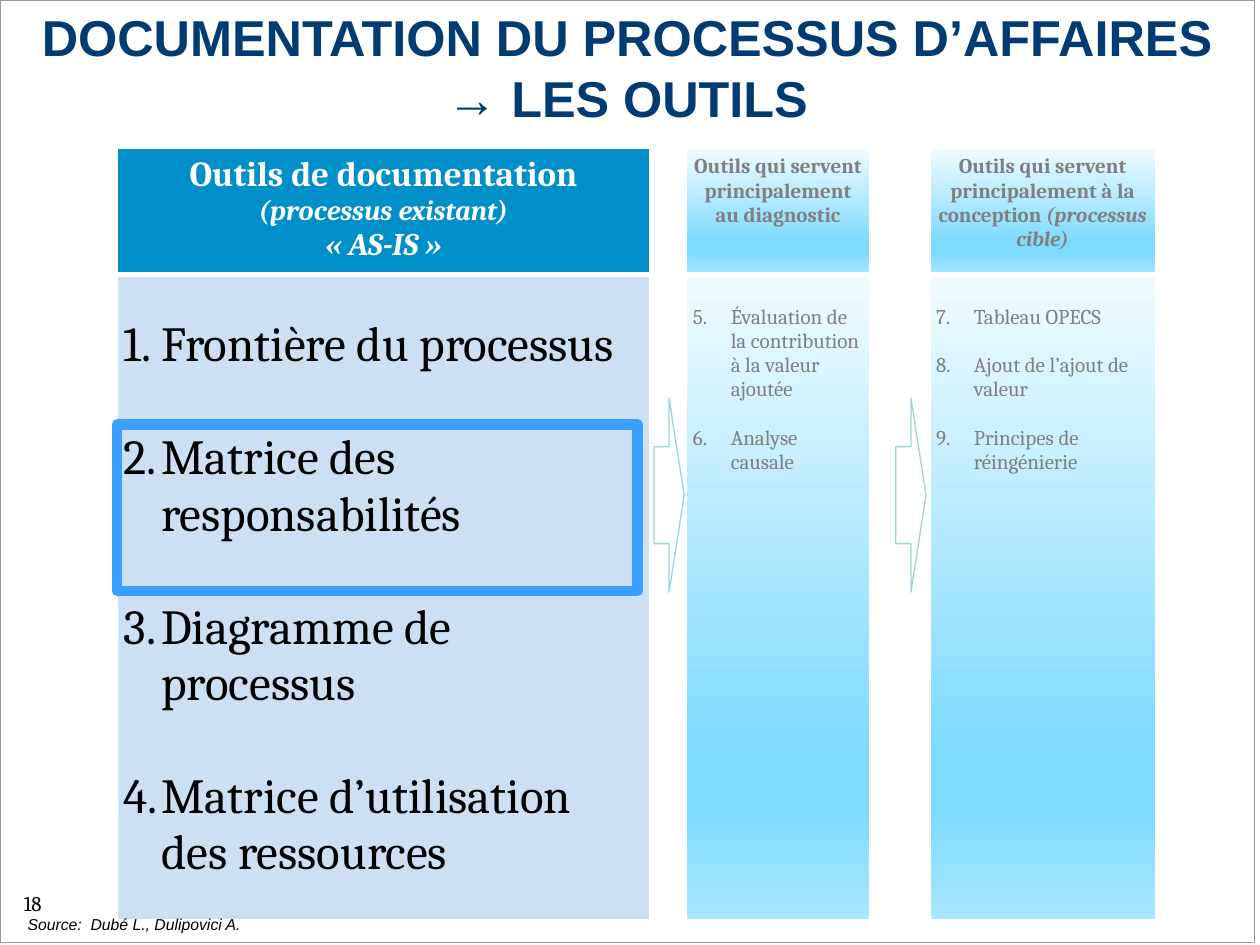
from dataclasses import dataclass

from lxml import etree
from pptx import Presentation
from pptx.dml.color import RGBColor
from pptx.enum.shapes import MSO_SHAPE
from pptx.enum.text import MSO_ANCHOR, PP_ALIGN
from pptx.oxml.ns import qn
from pptx.util import Inches, Pt

RECTANGLE = MSO_SHAPE.RECTANGLE
RIGHT_ARROW = MSO_SHAPE.RIGHT_ARROW
TOP = MSO_ANCHOR.TOP
CENTER = PP_ALIGN.CENTER
LEFT = PP_ALIGN.LEFT

WHITE = RGBColor(0xFF, 0xFF, 0xFF)
BLACK = RGBColor(0x00, 0x00, 0x00)
GRAY = RGBColor(0x80, 0x80, 0x80)
BORDER_GRAY = RGBColor(0x97, 0x99, 0x9B)
NAVY = RGBColor(0x00, 0x3C, 0x71)
HEADER_BLUE = RGBColor(0x00, 0x8F, 0xC9)
BODY_BLUE = RGBColor(0xCC, 0xDF, 0xF3)
HIGHLIGHT_BLUE = RGBColor(0x3B, 0x9F, 0xFF)
ARROW_TEAL = RGBColor(0x9E, 0xD3, 0xD7)
PALE_BLUE = RGBColor(0xF1, 0xFB, 0xFF)
SKY_BLUE = RGBColor(0x7E, 0xDA, 0xFF)
SOFT_BLUE = RGBColor(0xA9, 0xE6, 0xFF)
GRADIENT = ((0, PALE_BLUE), (74, SKY_BLUE), (83, SKY_BLUE), (100, SOFT_BLUE))

GRID_COLUMNS, GRID_ROWS = 100, 75
SERIF, SANS = "Cambria", "Arial"
LINE_SPACING = 1.16
CELL_MARGIN = 0.05
HANGING_INDENT = 0.3


@dataclass(frozen=True)
class Area:
    column: float
    row: float
    columns: float
    rows: float


@dataclass(frozen=True)
class Span:
    text: str
    size: float
    color: RGBColor
    bold: bool = False
    italic: bool = False
    font: str = SERIF


@dataclass(frozen=True)
class ToolColumn:
    index: int
    header: tuple
    items: tuple
    first_number: int
    item_size: float
    item_color: RGBColor
    top_gap: float
    header_fill: RGBColor | None = None
    body_fill: RGBColor | None = None


def small_header(*spans: tuple) -> tuple:
    return (tuple(Span(text, 12, GRAY, True, italic) for text, italic in spans),)


TOOL_COLUMNS = (
    ToolColumn(
        0,
        (
            (Span("Outils de documentation", 20, WHITE, True),),
            (Span("(processus existant)", 16, WHITE, True, True),),
            (Span("«\u00a0AS-IS\u00a0»", 18, WHITE, True, True),),
        ),
        ("Frontière du processus", "Matrice des responsabilités",
         "Diagramme de processus", "Matrice d’utilisation des ressources"),
        1, 28, BLACK, 18, HEADER_BLUE, BODY_BLUE,
    ),
    ToolColumn(
        2,
        small_header(("Outils qui servent principalement au diagnostic", False)),
        ("Évaluation de la contribution à la valeur ajoutée", "Analyse causale"),
        5, 12, GRAY, 12,
    ),
    ToolColumn(
        4,
        small_header(("Outils qui servent principalement à la conception ", False),
                     ("(processus cible)", True)),
        ("Tableau OPECS", "Ajout de l’ajout de valeur", "Principes de réingénierie"),
        7, 12, GRAY, 12,
    ),
)

presentation = Presentation()
presentation.slide_width = Inches(10)
presentation.slide_height = Inches(7.5)
slide = presentation.slides.add_slide(presentation.slide_layouts[6])
grid_width = presentation.slide_width / GRID_COLUMNS
grid_height = presentation.slide_height / GRID_ROWS


def place(area: Area) -> tuple:
    return (round(area.column * grid_width), round(area.row * grid_height),
            round(area.columns * grid_width), round(area.rows * grid_height))


def add_span(paragraph, span: Span) -> None:
    run = paragraph.add_run()
    run.text = span.text
    run.font.name = span.font
    run.font.size = Pt(span.size)
    run.font.bold = span.bold
    run.font.italic = span.italic
    run.font.color.rgb = span.color


def write_paragraphs(frame, lines: tuple, alignment=LEFT) -> None:
    for number, spans in enumerate(lines):
        paragraph = frame.add_paragraph() if number else frame.paragraphs[0]
        paragraph.alignment = alignment
        for span in spans:
            add_span(paragraph, span)


def add_label(area: Area, span: Span, alignment=LEFT, wrap=True, inset=0.05) -> None:
    frame = slide.shapes.add_textbox(*place(area)).text_frame
    frame.word_wrap = wrap
    frame.vertical_anchor = TOP
    frame.margin_top = frame.margin_bottom = Inches(inset)
    write_paragraphs(frame, ((span,),), alignment)


def add_outline(kind, area: Area, color: RGBColor, width: float, opacity=0) -> None:
    shape = slide.shapes.add_shape(kind, *place(area))
    shape.shadow.inherit = False
    shape.line.color.rgb = color
    shape.line.width = Pt(width)
    if not opacity:
        shape.fill.background()
        return
    shape.fill.solid()
    shape.fill.fore_color.rgb = WHITE
    fill_color = shape.fill._xPr.find(qn("a:solidFill"))[0]
    etree.SubElement(fill_color, qn("a:alpha"), val=str(opacity * 1000))


def paint_cell(cell, color: RGBColor | None) -> None:
    if color is not None:
        cell.fill.solid()
        cell.fill.fore_color.rgb = color
        return
    cell.fill.gradient()
    cell.fill.gradient_angle = 270
    stops = cell._tc.tcPr.find(qn("a:gradFill")).find(qn("a:gsLst"))
    for stop in list(stops):
        stops.remove(stop)
    for position, stop_color in GRADIENT:
        stop = etree.SubElement(stops, qn("a:gs"), pos=str(position * 1000))
        etree.SubElement(stop, qn("a:srgbClr"), val=str(stop_color))


def border_cell(cell, top: float, bottom: float) -> None:
    properties = cell._tc.get_or_add_tcPr()
    edges = (("a:lnL", 1), ("a:lnR", 1), ("a:lnT", top), ("a:lnB", bottom))
    for position, (edge, width) in enumerate(edges):
        line = etree.Element(qn(edge), w=str(Pt(width)))
        fill = etree.SubElement(line, qn("a:solidFill"))
        etree.SubElement(fill, qn("a:srgbClr"), val=str(WHITE))
        properties.insert(position, line)


def number_paragraphs(frame, first_number: int, gap: float) -> None:
    for position, paragraph in enumerate(frame.paragraphs):
        if position:
            paragraph.space_before = Pt(gap)
        properties = paragraph._p.get_or_add_pPr()
        properties.set("marL", str(Inches(HANGING_INDENT)))
        properties.set("indent", str(-Inches(HANGING_INDENT)))
        etree.SubElement(properties, qn("a:buFont"), typeface=SERIF)
        etree.SubElement(properties, qn("a:buAutoNum"), type="arabicPeriod",
                         startAt=str(first_number))


def fill_column(table, column: ToolColumn) -> None:
    header, body = table.cell(0, column.index), table.cell(1, column.index)
    paint_cell(header, column.header_fill)
    paint_cell(body, column.body_fill)
    write_paragraphs(header.text_frame, column.header, CENTER)
    items = tuple((Span(item, column.item_size, column.item_color),) for item in column.items)
    write_paragraphs(body.text_frame, items)
    body.margin_top = Inches(CELL_MARGIN) + Pt(column.top_gap * LINE_SPACING)
    number_paragraphs(body.text_frame, column.first_number, column.item_size * LINE_SPACING)


def add_tool_table(area: Area, widths: tuple, heights: tuple) -> None:
    table = slide.shapes.add_table(len(heights), len(widths), *place(area)).table
    table.first_row = table.horz_banding = False
    for column, width in zip(table.columns, widths):
        column.width = round(width * grid_width)
    for row, height in zip(table.rows, heights):
        row.height = round(height * grid_height)
    for cell in table.iter_cells():
        cell.margin_left = cell.margin_right = Inches(CELL_MARGIN)
        cell.margin_top = cell.margin_bottom = Inches(CELL_MARGIN)
        paint_cell(cell, WHITE)
    for column in range(len(widths)):
        border_cell(table.cell(0, column), 1, 3)
        border_cell(table.cell(1, column), 3, 1)
    for column in TOOL_COLUMNS:
        fill_column(table, column)


add_outline(RECTANGLE, Area(0, 0, 99.6, 74.8), BORDER_GRAY, 0.5)
add_label(Area(0.9, 70.2, 9.8, 3.5), Span("18", 12, BLACK))
add_tool_table(Area(9.3, 11.8, 82.4, 61.2), (42.3, 2.9, 14.5, 4.8, 17.9), (9.3, 51.2))
add_outline(RIGHT_ARROW, Area(71.1, 31.6, 2.4, 15.4), ARROW_TEAL, 0.75, 66)
add_outline(RECTANGLE, Area(9.3, 33.7, 41.3, 13.2), HIGHLIGHT_BLUE, 6)
add_outline(RIGHT_ARROW, Area(51.9, 31.6, 2.4, 15.4), ARROW_TEAL, 0.75, 66)
add_label(Area(1.2, 0.5, 97.2, 7.8),
          Span("DOCUMENTATION DU PROCESSUS D’AFFAIRES → LES OUTILS", 28.8, NAVY, True, font=SANS),
          CENTER, inset=0)
add_label(Area(1.2, 72.1, 24.5, 2.6),
          Span("Source:  Dubé L., Dulipovici A.", 9, BLACK, italic=True, font=SANS), wrap=False)
presentation.save("out.pptx")
